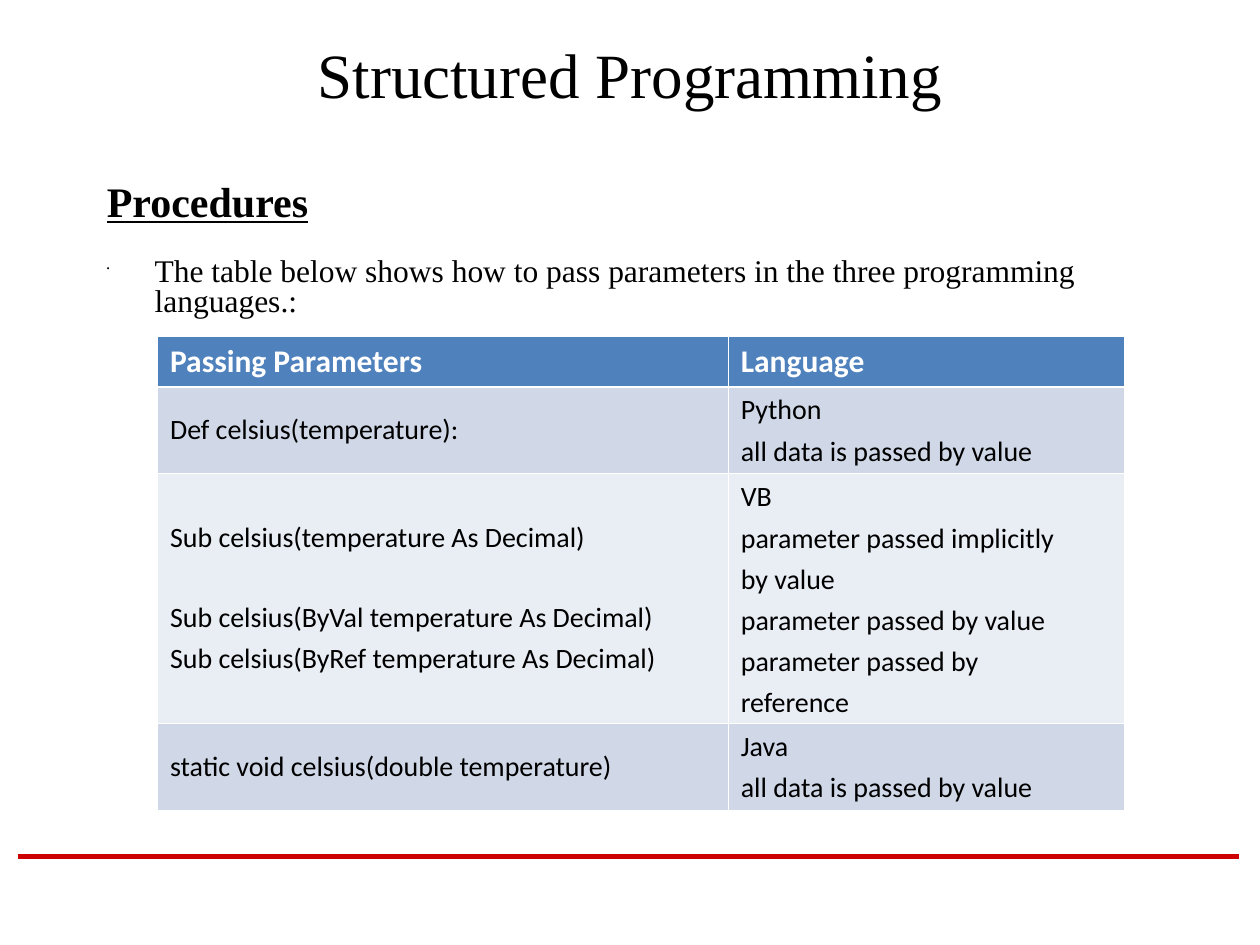
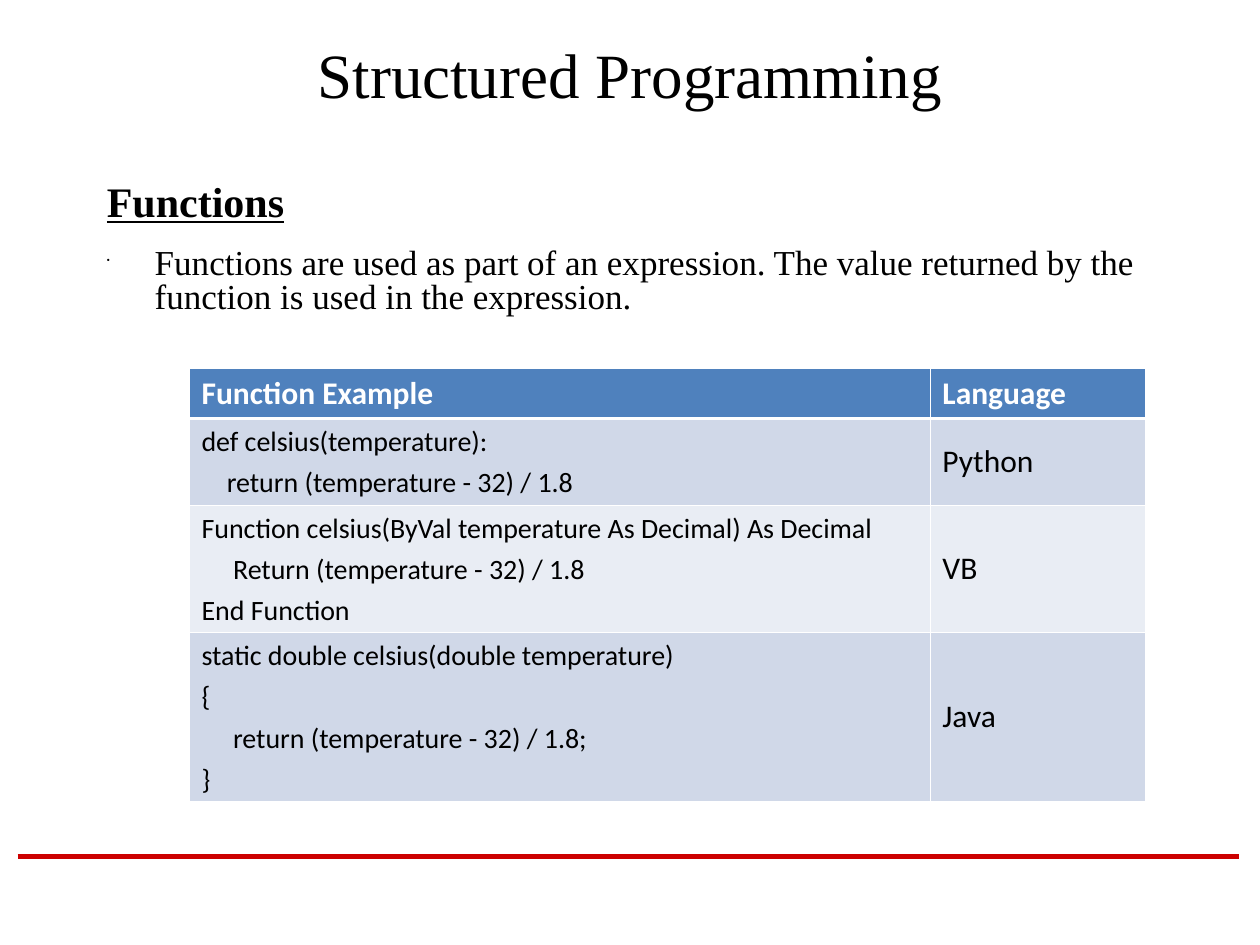
from lxml import etree
from pptx import Presentation
from pptx.dml.color import RGBColor
from pptx.enum.shapes import MSO_CONNECTOR
from pptx.enum.text import MSO_ANCHOR, PP_ALIGN
from pptx.oxml.ns import qn
from pptx.util import Inches, Pt

# Content: table cells are lists of lines, a None line is a gap
TITLE = "Structured Programming"
SLIDES = [
    dict(
        heading="Procedures",
        point="The table below shows how to pass parameters in the three programming languages.:",
        point_size=18, point_gap=18.5,
        at=(1.25, 2.67), cols=(4.53, 3.14), rows=(0.4, 0.69, 1.98, 0.69),
        language_size=16,
        header=("Passing Parameters", "Language"),
        body=[
            (["Def celsius(temperature):"],
             ["Python", "all data is passed by value"]),
            (["Sub celsius(temperature As Decimal)",
              None,
              "Sub celsius(ByVal temperature As Decimal)",
              "Sub celsius(ByRef temperature As Decimal)"],
             ["VB", "parameter passed implicitly", "by value",
              "parameter passed by value", "parameter passed by", "reference"]),
            (["static void celsius(double temperature)"],
             ["Java", "all data is passed by value"]),
        ],
    ),
    dict(
        heading="Functions",
        point="Functions are used as part of an expression. The value returned by the "
              "function is used in the expression.",
        point_size=20, point_gap=13.2,
        at=(1.5, 2.92), cols=(5.88, 1.71), rows=(0.4, 0.69, 1.01, 1.34),
        language_size=18,
        header=("Function Example", "Language"),
        body=[
            (["def celsius(temperature):",
              "    return (temperature - 32) / 1.8"],
             ["Python"]),
            (["Function celsius(ByVal temperature As Decimal) As Decimal",
              "     Return (temperature - 32) / 1.8",
              "End Function"],
             ["VB"]),
            (["static double celsius(double temperature)",
              "{",
              "     return (temperature - 32) / 1.8;",
              "}"],
             ["Java"]),
        ],
    ),
]

# Shared look
BLACK, WHITE, RED = "000000", "FFFFFF", "CC0000"
HEADER_FILL, BANDS = "4F81BD", ("D0D8E8", "E9EDF4")
SERIF, SANS = "Times New Roman", "Calibri"
CODE_SIZE, HEADER_SIZE = 16, 18
LINE_GAP, BLANK_LINE = 4, 22.4
THIN, THICK = 0.45, 1.47


def rgb(color):
    return RGBColor.from_string(color)


def style(p, font, size, color=BLACK, bold=False, underline=False):
    for r in p.runs:
        f = r.font
        f.name, f.size, f.bold, f.underline = font, Pt(size), bold, underline
        f.color.rgb = rgb(color)


def add_box(s, top, height):
    tf = s.shapes.add_textbox(Inches(0.75), Inches(top), Inches(8.5), Inches(height)).text_frame
    tf.word_wrap = True
    return tf


def add_bullet(p):
    pPr = p._p.get_or_add_pPr()
    pPr.set("marL", str(Inches(0.38)))
    pPr.set("indent", str(-Inches(0.38)))
    color = etree.SubElement(pPr, qn("a:buClr"))
    etree.SubElement(color, qn("a:srgbClr"), val=BLACK)
    etree.SubElement(pPr, qn("a:buSzPct"), val="25000")
    etree.SubElement(pPr, qn("a:buChar"), char="•")


def add_frame(s):
    """Title and red footer line."""
    line = s.shapes.add_connector(MSO_CONNECTOR.STRAIGHT, Inches(0.14), Inches(6.8),
                                  Inches(9.83), Inches(6.8))
    line.line.color.rgb = rgb(RED)
    line.line.width = Pt(3)
    etree.SubElement(line._element.spPr, qn("a:effectLst"))

    tf = add_box(s, 0.17, 0.83)
    tf.vertical_anchor = MSO_ANCHOR.MIDDLE
    p = tf.paragraphs[0]
    p.text = TITLE
    p.alignment = PP_ALIGN.CENTER
    style(p, SERIF, 36)


def add_body(s, data):
    tf = add_box(s, 1.42, 5.09)
    p = tf.paragraphs[0]
    p.text = data["heading"]
    p.line_spacing = 0.8
    style(p, SERIF, 24, bold=True, underline=True)

    p = tf.add_paragraph()
    p.text = data["point"]
    add_bullet(p)
    p.line_spacing = 0.8
    p.space_before = Pt(data["point_gap"])
    style(p, SERIF, data["point_size"])


def set_borders(cell, top, bottom):
    tcPr = cell._tc.get_or_add_tcPr()
    for side, width in (("L", THIN), ("R", THIN), ("T", top), ("B", bottom)):
        ln = etree.SubElement(tcPr, qn("a:ln" + side), w=str(Pt(width)))
        fill = etree.SubElement(ln, qn("a:solidFill"))
        etree.SubElement(fill, qn("a:srgbClr"), val=WHITE)


def fill_cell(cell, lines, size, fill, color=BLACK, bold=False):
    cell.fill.solid()
    cell.fill.fore_color.rgb = rgb(fill)
    cell.vertical_anchor = MSO_ANCHOR.MIDDLE
    tf = cell.text_frame
    for i, text in enumerate(lines):
        if text is None:
            continue
        p = tf.add_paragraph() if i else tf.paragraphs[0]
        p.text = text
        if i:
            p.space_before = Pt(LINE_GAP + (BLANK_LINE if lines[i - 1] is None else 0))
        style(p, SANS, size, color, bold)


def add_code_table(s, data):
    cols, rows = data["cols"], data["rows"]
    left, top = data["at"]
    table = s.shapes.add_table(len(rows), len(cols), Inches(left), Inches(top),
                               Inches(sum(cols)), Inches(sum(rows))).table
    for column, width in zip(table.columns, cols):
        column.width = Inches(width)
    for row, height in zip(table.rows, rows):
        row.height = Inches(height)

    sizes = (CODE_SIZE, data["language_size"])
    for c, label in enumerate(data["header"]):
        cell = table.cell(0, c)
        set_borders(cell, THIN, THICK)
        fill_cell(cell, [label], HEADER_SIZE, HEADER_FILL, WHITE, bold=True)
    for r, row in enumerate(data["body"], 1):
        for c, lines in enumerate(row):
            cell = table.cell(r, c)
            set_borders(cell, THICK if r == 1 else THIN, THIN)
            fill_cell(cell, lines, sizes[c], BANDS[(r - 1) % 2])


def main():
    prs = Presentation()
    prs.slide_width, prs.slide_height = Inches(10), Inches(7.5)
    for data in SLIDES:
        s = prs.slides.add_slide(prs.slide_layouts[6])
        add_frame(s)
        add_body(s, data)
        add_code_table(s, data)
    prs.save("out.pptx")


if __name__ == "__main__":
    main()
